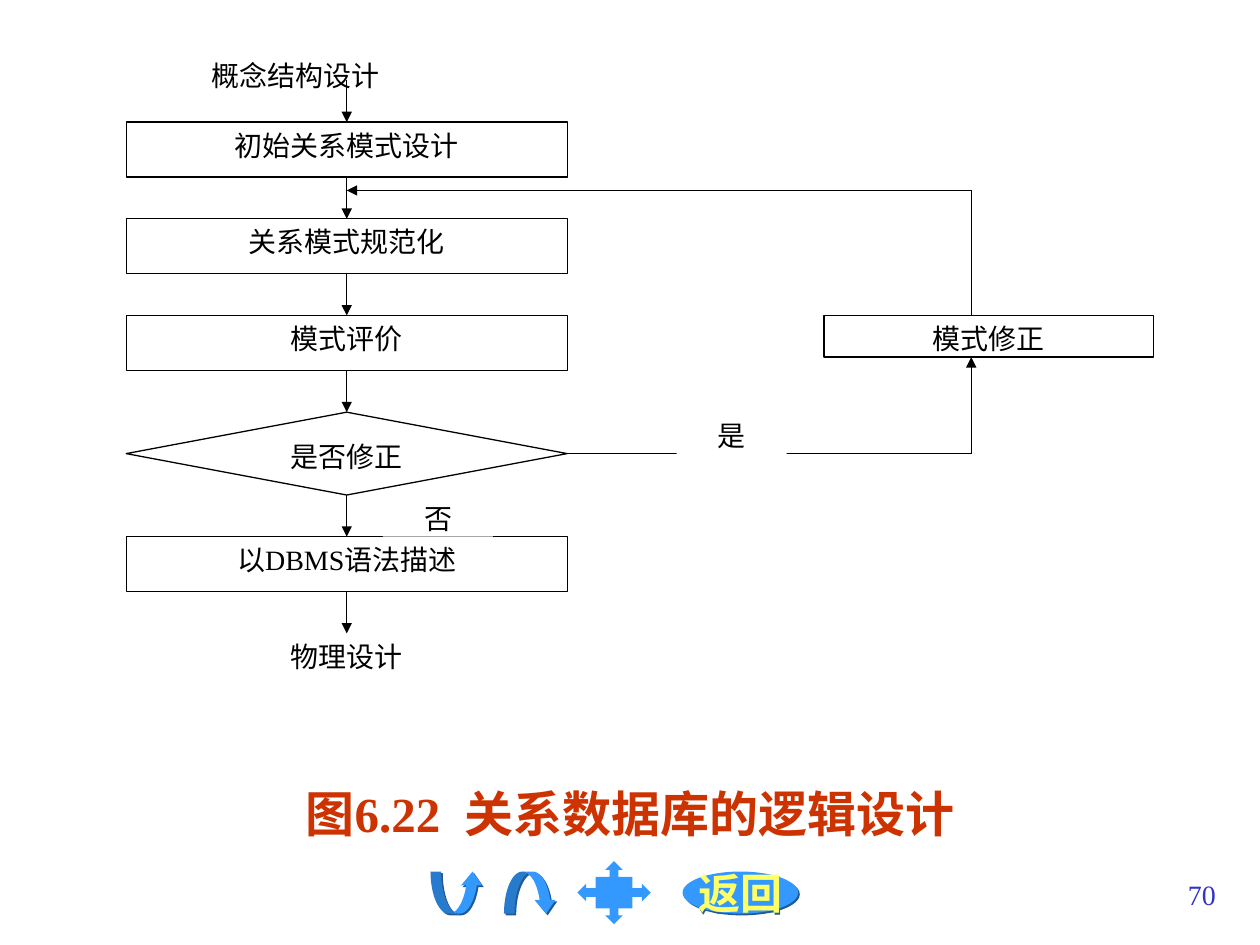
import dataclasses
import itertools
from typing import Any, Optional

import lxml.etree
import pptx
import pptx.dml.color
import pptx.enum.shapes
import pptx.enum.text
import pptx.oxml
import pptx.oxml.ns
import pptx.util

Cm = pptx.util.Cm
Kind = pptx.enum.shapes.MSO_SHAPE
Align = pptx.enum.text.PP_ALIGN
Anchor = pptx.enum.text.MSO_ANCHOR


@dataclasses.dataclass(frozen=True)
class Theme:
    font: str = "Times New Roman"
    ink: str = "000000"
    paper: str = "FFFFFF"
    caption: str = "CC3300"
    button: str = "3399FF"
    button_shadow: str = "1E5B98"
    button_text: str = "FFFF66"
    page_number: str = "3333CC"
    label_size: int = 16
    button_size: int = 24
    caption_size: int = 28
    line_width: float = 0.75


@dataclasses.dataclass(frozen=True)
class Node:
    text: str
    left: float
    top: float
    width: float
    height: float
    kind: Any = Kind.RECTANGLE
    outlined: bool = True
    align: Any = Align.CENTER


@dataclasses.dataclass(frozen=True)
class Button:
    kind: Any
    left: float
    top: float
    width: float
    height: float
    adjustments: tuple = ()
    shadowed: bool = True
    text: str = ""


THEME = Theme()
AXIS = 6.99
STEP_WIDTH, STEP_HEIGHT, CHOICE_HEIGHT = 8.89, 1.11, 1.67
GAP, FIRST_TOP = 0.84, 2.46
LABEL_HEIGHT, LABEL_WIDTH = 0.84, 2.22
RETURN_X, RETURN_Y = 19.58, 3.84
STEPS = (
    ("初始关系模式设计", Kind.RECTANGLE, STEP_HEIGHT),
    ("关系模式规范化", Kind.RECTANGLE, STEP_HEIGHT),
    ("模式评价", Kind.RECTANGLE, STEP_HEIGHT),
    ("是否修正", Kind.DIAMOND, CHOICE_HEIGHT),
    ("以DBMS语法描述", Kind.RECTANGLE, STEP_HEIGHT),
)
BUTTONS = (
    Button(Kind.CURVED_UP_ARROW, 8.68, 17.57, 1.06, 0.85, (0.25, 0.5, 0.33)),
    Button(Kind.CURVED_DOWN_ARROW, 10.16, 17.57, 1.06, 0.85, (0.25, 0.5, 0.33)),
    Button(Kind.OVAL, 13.76, 17.57, 2.33, 0.85, text="返回"),
    Button(Kind.QUAD_ARROW_CALLOUT, 11.64, 17.36, 1.48, 1.27,
           (0.14, 0.14, 0.14, 0.5), shadowed=False),
)


def color(value: str) -> pptx.dml.color.RGBColor:
    return pptx.dml.color.RGBColor.from_string(value)


def apply(target: Any, values: dict) -> None:
    for name, value in values.items():
        setattr(target, name, value)


def write(box: Any, text: str, size: int, ink: str, align: Any,
          bold: bool = False, **frame_values: Any) -> Any:
    apply(box.text_frame, {"word_wrap": True, "vertical_anchor": Anchor.TOP,
                           **frame_values})
    para = box.text_frame.paragraphs[0]
    para.alignment = align
    span = para.add_run()
    span.text = text
    apply(span.font, {"name": THEME.font, "size": pptx.util.Pt(size), "bold": bold})
    span.font.color.rgb = color(ink)
    return para


def add_filled(page: Any, item: Any, fill: str) -> Any:
    lengths = (Cm(n) for n in (item.left, item.top, item.width, item.height))
    shape = page.shapes.add_shape(item.kind, *lengths)
    shape.shadow.inherit = False
    shape.fill.solid()
    shape.fill.fore_color.rgb = color(fill)
    shape.line.fill.background()
    return shape


def add_node(page: Any, node: Node) -> Any:
    shape = add_filled(page, node, THEME.paper)
    if node.outlined:
        shape.line.color.rgb = color(THEME.ink)
        shape.line.width = pptx.util.Pt(THEME.line_width)
    write(shape, node.text, THEME.label_size, THEME.ink, node.align)
    return shape


def add_button(page: Any, button: Button) -> None:
    shape = add_filled(page, button, THEME.button)
    for index, value in enumerate(button.adjustments):
        shape.adjustments[index] = value
    if button.shadowed:
        effects = shape._element.spPr.find(pptx.oxml.ns.qn("a:effectLst"))
        effects.append(pptx.oxml.parse_xml(
            f'<a:outerShdw {pptx.oxml.ns.nsdecls("a")} blurRad="0" dist="17780" '
            f'dir="2700000" algn="ctr" rotWithShape="0">'
            f'<a:srgbClr val="{THEME.button_shadow}"/></a:outerShdw>'))
    if button.text:
        write(shape, button.text, THEME.button_size, THEME.button_text, Align.CENTER,
              bold=True, word_wrap=False, vertical_anchor=Anchor.MIDDLE)


def add_line(page: Any, start: tuple, end: tuple, arrow: bool = True,
             source: Optional[tuple] = None, target: Optional[tuple] = None) -> None:
    line = page.shapes.add_connector(pptx.enum.shapes.MSO_CONNECTOR.STRAIGHT,
                                     *(Cm(n) for n in (*start, *end)))
    line.line.color.rgb = color(THEME.ink)
    line.line.width = pptx.util.Pt(THEME.line_width)
    if source:
        line.begin_connect(*source)
    if target:
        line.end_connect(*target)
    if arrow:
        lxml.etree.SubElement(line.line._get_or_add_ln(),
                              pptx.oxml.ns.qn("a:tailEnd"), type="triangle")
    lxml.etree.SubElement(line._element.spPr, pptx.oxml.ns.qn("a:effectLst"))


def add_flow(page: Any) -> None:
    add_node(page, Node("概念结构设计", 4.02, 1.06, 7.41, LABEL_HEIGHT,
                        outlined=False, align=Align.JUSTIFY))
    nodes, shapes, top = [], [], FIRST_TOP
    for text, kind, height in STEPS:
        nodes.append(Node(text, AXIS - STEP_WIDTH / 2, top, STEP_WIDTH, height, kind))
        top += height + GAP
    nodes.append(Node("物理设计", AXIS - 3.7, top, 7.4, LABEL_HEIGHT, outlined=False))
    shapes = [add_node(page, node) for node in nodes]
    add_line(page, (AXIS, FIRST_TOP - GAP), (AXIS, FIRST_TOP), target=(shapes[0], 0))
    for (upper, source), (lower, target) in itertools.pairwise(zip(nodes, shapes)):
        add_line(page, (AXIS, upper.top + upper.height), (AXIS, lower.top),
                 source=(source, 2), target=(target, 0))

    choice = nodes[3]
    middle = choice.top + choice.height / 2
    revision = Node("模式修正", 16.61, nodes[2].top, 6.65, LABEL_HEIGHT)
    add_node(page, revision)
    add_line(page, (choice.left + choice.width, middle), (RETURN_X, middle),
             arrow=False, source=(shapes[3], 3))
    add_line(page, (RETURN_X, middle), (RETURN_X, revision.top + revision.height))
    add_line(page, (RETURN_X, revision.top), (RETURN_X, RETURN_Y), arrow=False)
    add_line(page, (RETURN_X, RETURN_Y), (AXIS, RETURN_Y))
    for text, left, label_top in (("否", 7.72, choice.top + choice.height),
                                  ("是", 13.64, choice.top)):
        add_node(page, Node(text, left, label_top, LABEL_WIDTH, LABEL_HEIGHT,
                            outlined=False))


def add_caption(page: Any) -> None:
    box = page.placeholders[1]
    apply(box, {"left": Cm(1.9), "top": Cm(15.67), "width": Cm(21.6), "height": Cm(1.7)})
    para = write(box, "图6.22  关系数据库的逻辑设计", THEME.caption_size, THEME.caption,
                 Align.CENTER, bold=True, auto_size=pptx.enum.text.MSO_AUTO_SIZE.NONE)
    properties = para._p.get_or_add_pPr()
    properties.set("marL", str(Cm(0.95)))
    properties.set("indent", str(Cm(-0.95)))
    lxml.etree.SubElement(properties, pptx.oxml.ns.qn("a:buNone"))
    para.space_before = pptx.util.Pt(0)


def main() -> None:
    deck = pptx.Presentation()
    apply(deck, {"slide_width": Cm(25.4), "slide_height": Cm(19.05)})
    page = deck.slides.add_slide(deck.slide_layouts[1])
    title = page.shapes.title._element
    title.getparent().remove(title)
    for button in BUTTONS:
        add_button(page, button)
    add_caption(page)
    add_flow(page)
    number = page.shapes.add_textbox(Cm(19.48), Cm(17.57), Cm(5.28), Cm(1.27))
    write(number, "70", THEME.label_size, THEME.page_number, Align.RIGHT)
    deck.save("out.pptx")


if __name__ == "__main__":
    main()
